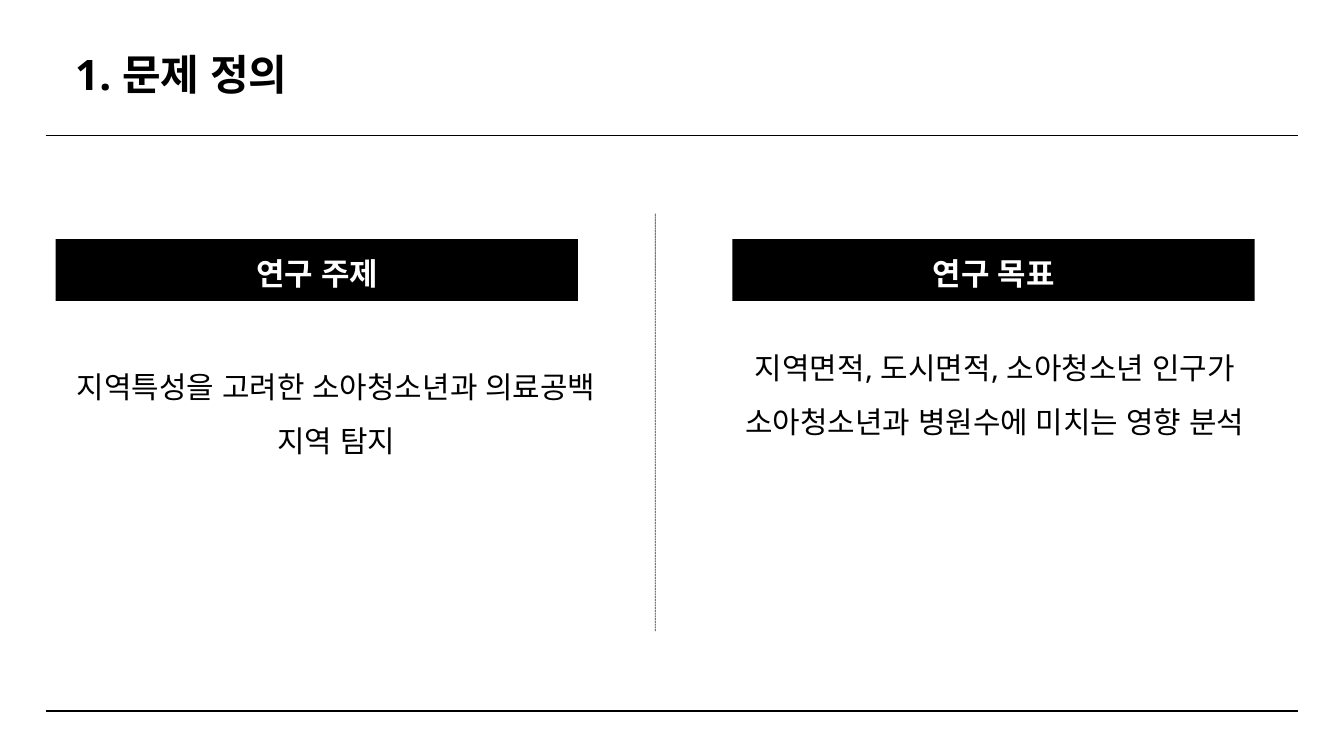
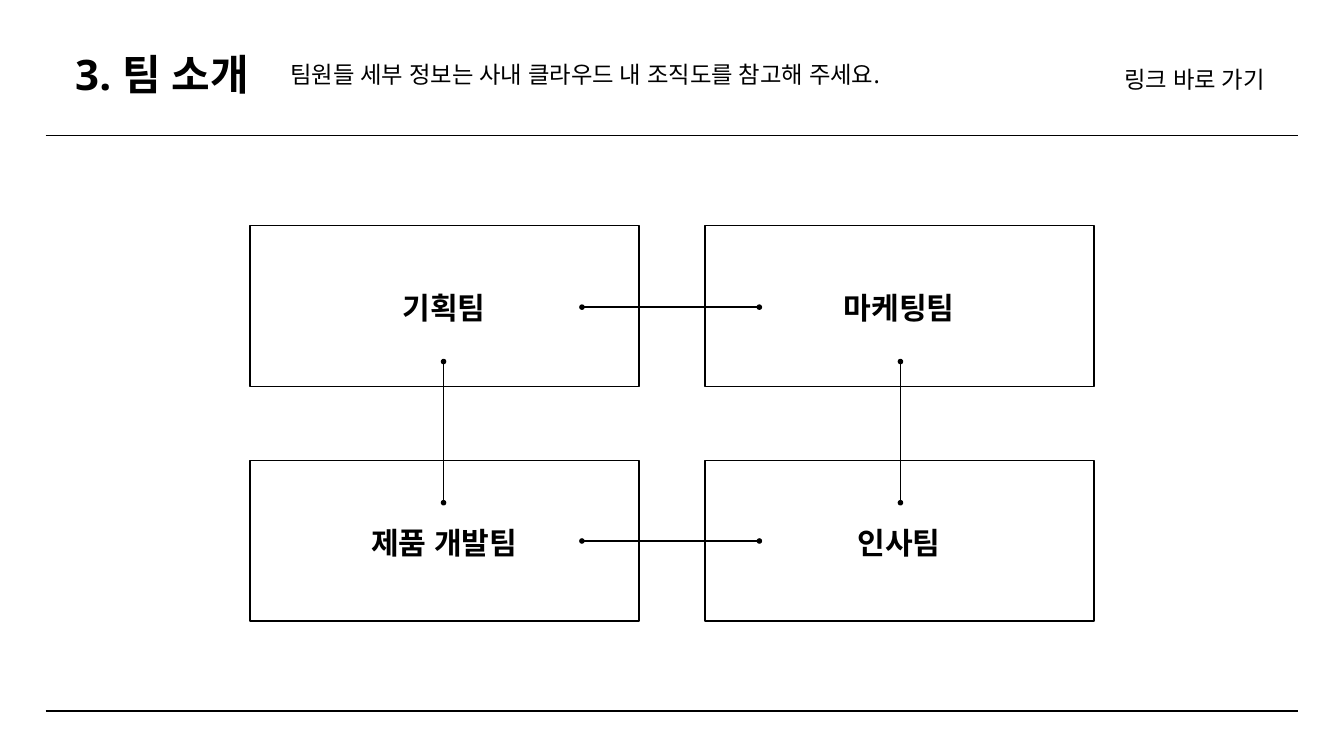
from dataclasses import dataclass

from lxml.etree import SubElement
from pptx import Presentation
from pptx.dml.color import RGBColor
from pptx.enum.dml import MSO_LINE
from pptx.enum.shapes import MSO_CONNECTOR, MSO_SHAPE
from pptx.enum.text import MSO_AUTO_SIZE, PP_ALIGN
from pptx.oxml.ns import qn
from pptx.util import Inches, Pt


@dataclass(frozen=True)
class Theme:
    font: str = "Noto Sans"
    ink: RGBColor = RGBColor(0, 0, 0)
    paper: RGBColor = RGBColor(255, 255, 255)
    title_size: float = 45
    band_size: float = 33.1
    team_size: float = 32.3
    body_size: float = 32
    note_size: float = 25
    rule_width: float = 1.5
    divider_width: float = 0.75


@dataclass(frozen=True)
class Box:
    left: float
    top: float
    width: float
    height: float

    def point(self, x, y):
        return self.left + self.width * x / 100, self.top + self.height * y / 100

    def area(self, x, y, width, height):
        return Box(*self.point(x, y), self.width * width / 100, self.height * height / 100)

    def emu(self):
        return [Inches(v) for v in (self.left, self.top, self.width, self.height)]


THEME = Theme()
PAGE = Box(0, 0, 20, 11.25)
HEADER = PAGE.area(3.4, 0, 93.2, 17.96)


def add_text(slide, box, text, size, spacing, align=PP_ALIGN.CENTER, color=THEME.ink, bold=False):
    frame = slide.shapes.add_textbox(*box.emu()).text_frame
    frame.margin_left = frame.margin_right = frame.margin_top = frame.margin_bottom = 0
    frame.word_wrap = True
    frame.auto_size = MSO_AUTO_SIZE.SHAPE_TO_FIT_TEXT
    frame.text = text
    paragraph = frame.paragraphs[0]
    paragraph.alignment = align
    paragraph.line_spacing = spacing
    for run in paragraph.runs:
        run.font.name = THEME.font
        run.font.size = Pt(size)
        run.font.bold = bold
        run.font.color.rgb = color
        SubElement(run._r.get_or_add_rPr(), qn("a:ea"), typeface=THEME.font)


def add_rectangle(slide, box, filled):
    rectangle = slide.shapes.add_shape(MSO_SHAPE.RECTANGLE, *box.emu())
    rectangle.shadow.inherit = False
    if filled:
        rectangle.fill.solid()
        rectangle.fill.fore_color.rgb = THEME.ink
        rectangle.line.fill.background()
    else:
        rectangle.fill.background()
        rectangle.line.color.rgb = THEME.ink
        rectangle.line.width = Pt(THEME.rule_width)


def add_rule(slide, start, end, width=THEME.rule_width):
    ends = [Inches(v) for v in (*start, *end)]
    rule = slide.shapes.add_connector(MSO_CONNECTOR.STRAIGHT, *ends)
    rule.line.color.rgb = THEME.ink
    rule.line.width = Pt(width)
    SubElement(rule._element.spPr, qn("a:effectLst"))
    return rule


def add_team_link(slide, start, end):
    outline = add_rule(slide, start, end).line._get_or_add_ln()
    for tip in ("a:headEnd", "a:tailEnd"):
        SubElement(outline, qn(tip), type="oval")


def add_divider(slide, box):
    divider = add_rule(slide, box.point(0, 0), box.point(0, 100), THEME.divider_width)
    divider.line.dash_style = MSO_LINE.SQUARE_DOT
    ink = divider.line._get_or_add_ln().find(".//" + qn("a:srgbClr"))
    SubElement(ink, qn("a:alpha"), val="80000")


def add_page(deck, title, title_width):
    slide = deck.slides.add_slide(deck.slide_layouts[6])
    slide.background.fill.solid()
    slide.background.fill.fore_color.rgb = THEME.paper
    for y in (17.96, 94.04):
        add_rule(slide, PAGE.point(3.4, y), PAGE.point(96.6, y))
    add_text(slide, HEADER.area(2.36, 41.58, title_width, 32.67), title,
             THEME.title_size, Pt(45), PP_ALIGN.JUSTIFY, bold=True)
    return slide


def add_topic(slide, box, heading, statement, statement_place):
    add_rectangle(slide, box.area(0, 0, 100, 24.8), filled=True)
    add_text(slide, box.area(10.94, 3.5, 78.25, 16.44), heading,
             THEME.band_size, Pt(46.4), color=THEME.paper, bold=True)
    add_text(slide, box.area(*statement_place), statement, THEME.body_size, 1.5)


def add_team(slide, box, name):
    add_rectangle(slide, box, filled=False)
    add_text(slide, box.area(28.84, 35.9, 42.14, 25.1), name,
             THEME.team_size, Pt(45.2), bold=True)


def add_team_grid(slide, box, rows):
    width, height = 46.1, 40.65
    for row, names in enumerate(rows):
        for column, name in enumerate(names):
            place = box.area(column * (100 - width), row * (100 - height), width, height)
            add_team(slide, place, name)
    for y in (20.58, 79.76):
        add_team_link(slide, box.point(39.33, y), box.point(60.35, y))
    for x in (22.93, 77.07):
        add_team_link(slide, box.point(x, 34.35), box.point(x, 70.07))


def build_problem(deck):
    slide = add_page(deck, "1. 문제 정의", 18.19)
    add_topic(slide, PAGE.area(4.15, 31.64, 38.85, 32.98), "연구 주제",
              "지역특성을 고려한 소아청소년과 의료공백 지역 탐지", (3.73, 44.74, 100, 41.24))
    add_divider(slide, PAGE.area(48.75, 28.27, 0, 55.2))
    add_topic(slide, PAGE.area(54.5, 31.64, 38.85, 32.98), "연구 목표",
              "지역면적, 도시면적, 소아청소년 인구가 소아청소년과 병원수에 미치는 영향 분석",
              (0.26, 37.2, 100, 62.8))


def build_teams(deck):
    slide = add_page(deck, "3. 팀 소개", 25.43)
    add_text(slide, HEADER.area(19.53, 47.52, 48.66, 18.32),
             "팀원들 세부 정보는 사내 클라우드 내 조직도를 참고해 주세요.",
             THEME.note_size, Pt(25), PP_ALIGN.JUSTIFY)
    add_text(slide, HEADER.area(86.1, 41.09, 15.72, 24.75), "링크 바로 가기",
             THEME.note_size, Pt(40), PP_ALIGN.JUSTIFY)
    add_team_grid(slide, PAGE.area(18.6, 29.87, 62.8, 52.27),
                  [("기획팀", "마케팅팀"), ("제품 개발팀", "인사팀")])


def main():
    deck = Presentation()
    deck.slide_width, deck.slide_height = Inches(PAGE.width), Inches(PAGE.height)
    build_problem(deck)
    build_teams(deck)
    deck.save("out.pptx")


if __name__ == "__main__":
    main()
